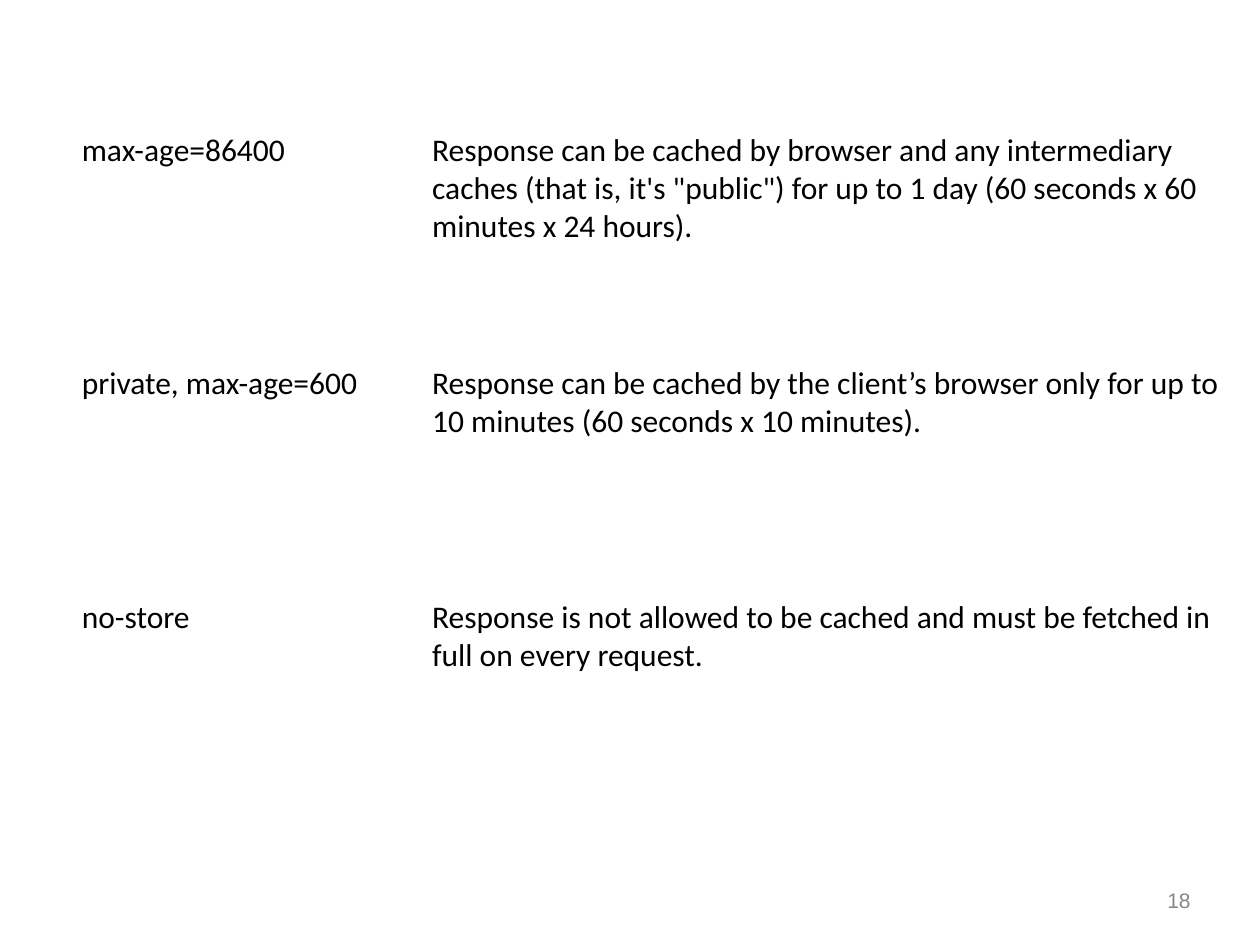
from dataclasses import dataclass

from lxml import etree
from pptx import Presentation
from pptx import util as u
from pptx.dml.color import RGBColor
from pptx.enum import text
from pptx.oxml.ns import qn


@dataclass(frozen=True)
class Theme:
    ink: str = "000000"
    muted: str = "888888"
    paper: str = "FFFFFF"
    body_font: str = "Calibri"
    number_font: str = "Arial"
    body_size: int = 18
    number_size: int = 12


THEME = Theme()
COLUMN_WIDTHS = (2.78, 6.44)
COLUMN_OPACITIES = (87, 95)
DIRECTIVES = [
    ("max-age=86400",
     "Response can be cached by browser and any intermediary caches "
     "(that is, it's \"public\") for up to 1 day "
     "(60 seconds x 60 minutes x 24 hours)."),
    ("private, max-age=600",
     "Response can be cached by the client’s browser only for up to "
     "10 minutes (60 seconds x 10 minutes)."),
    ("no-store",
     "Response is not allowed to be cached and must be fetched in full "
     "on every request."),
]


def write_text(frame, content, *, size=THEME.body_size, font=THEME.body_font,
               color=THEME.ink, align=text.PP_ALIGN.LEFT,
               anchor=text.MSO_ANCHOR.TOP, inset=0.07):
    frame.word_wrap = True
    frame.vertical_anchor = anchor
    for side in ("left", "top", "right", "bottom"):
        setattr(frame, f"margin_{side}", u.Inches(inset))
    paragraph = frame.paragraphs[0]
    paragraph.alignment = align
    run = paragraph.add_run()
    run.text = content
    run.font.size = u.Pt(size)
    run.font.name = font
    run.font.color.rgb = RGBColor.from_string(color)


def style_cell(cell, opacity, inset=0.07):
    for side in ("left", "top", "right", "bottom"):
        setattr(cell, f"margin_{side}", u.Inches(inset))
    properties = cell._tc.get_or_add_tcPr()
    for edge in ("a:lnL", "a:lnR", "a:lnT", "a:lnB"):
        line = etree.SubElement(properties, qn(edge), w="0")
        etree.SubElement(line, qn("a:noFill"))
    cell.fill.solid()
    cell.fill.fore_color.rgb = RGBColor.from_string(THEME.paper)
    color = properties.find(qn("a:solidFill")).find(qn("a:srgbClr"))
    etree.SubElement(color, qn("a:alpha"), val=str(opacity * 1000))


def add_directive_table(slide, left, top, width, height):
    shape = slide.shapes.add_table(
        len(DIRECTIVES), len(COLUMN_WIDTHS),
        u.Inches(left), u.Inches(top), u.Inches(width), u.Inches(height))
    table = shape.table
    table.first_row = False
    table.horz_banding = False
    for column, share in zip(table.columns, COLUMN_WIDTHS):
        column.width = u.Inches(width * share / sum(COLUMN_WIDTHS))
    for row, entries in enumerate(DIRECTIVES):
        for column, entry in enumerate(entries):
            cell = table.cell(row, column)
            write_text(cell.text_frame, entry)
            style_cell(cell, COLUMN_OPACITIES[column])


def add_slide_number(slide, left, top, width, height):
    box = slide.shapes.add_textbox(
        u.Inches(left), u.Inches(top), u.Inches(width), u.Inches(height))
    write_text(box.text_frame, "18", size=THEME.number_size,
               font=THEME.number_font, color=THEME.muted,
               align=text.PP_ALIGN.RIGHT, anchor=text.MSO_ANCHOR.MIDDLE,
               inset=0.05)


def main():
    presentation = Presentation()
    presentation.slide_width = u.Inches(10)
    presentation.slide_height = u.Inches(7.5)
    slide = presentation.slides.add_slide(presentation.slide_layouts[6])
    add_slide_number(slide, 7.17, 7, 2.33, 0.29)
    add_directive_table(slide, 0.58, 0.97, 9.22, 5.56)
    presentation.save("out.pptx")


if __name__ == "__main__":
    main()
